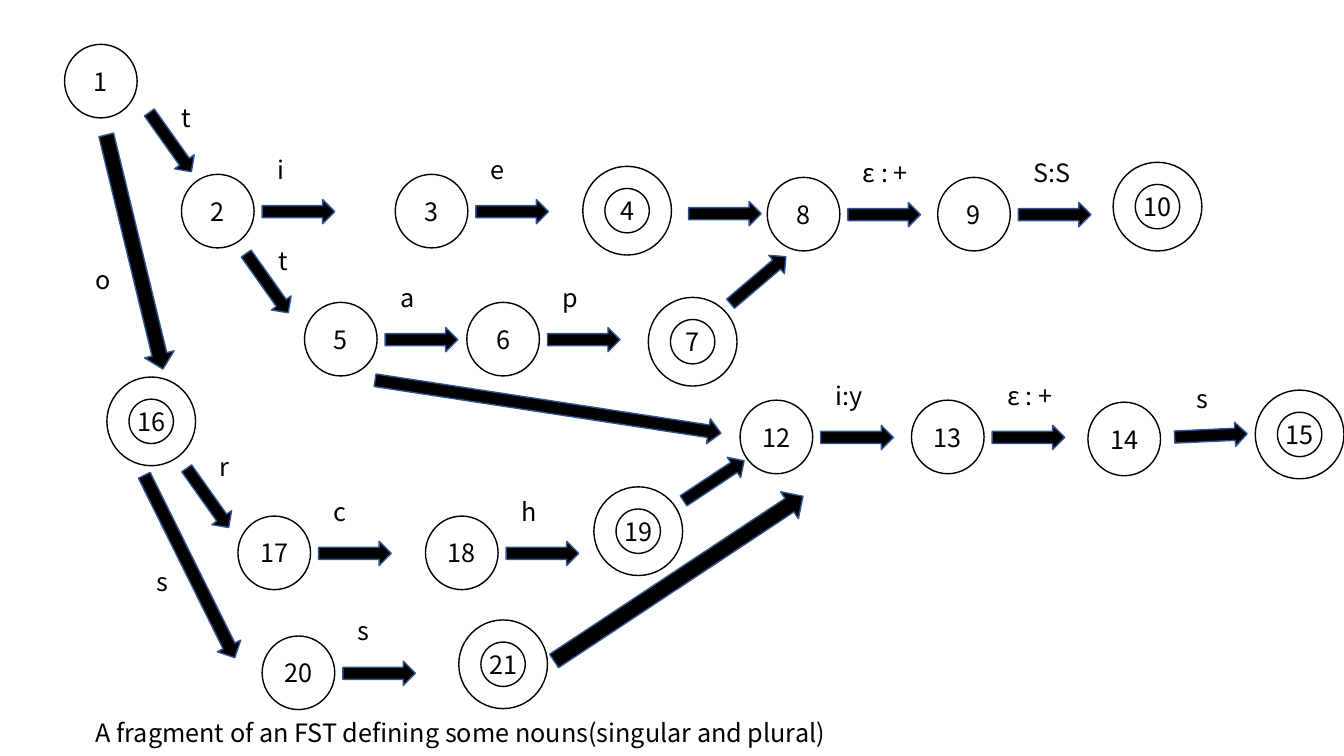
from pptx import Presentation
from pptx.dml.color import RGBColor
from pptx.enum.shapes import MSO_SHAPE
from pptx.enum.text import MSO_ANCHOR, PP_ALIGN
from pptx.util import Inches, Pt

COLORS = {"ink": "000000", "arrow_edge": "325491"}
FONT_FORMAT = {
    "name": "Noto Sans CJK KR",
    "size": Pt(18),
}
STATE_FRAME = {
    "margin_left": 0,
    "margin_right": 0,
    "word_wrap": True,
    "vertical_anchor": MSO_ANCHOR.MIDDLE,
}
LABEL_FRAME = {"word_wrap": True, "vertical_anchor": MSO_ANCHOR.TOP}

STATE_SIZE = (0.72, 0.73)
FINAL_SIZE = (0.88, 0.88)
ARROW_SIZE = (0.72, 0.24)
LABEL_SIZE = (0.88, 0.4)
ARROW_OFFSET = (0.8, 0.25)
LABEL_OFFSET = (0.85, -0.25)

# Rows of states that share a top: top, then (state, left, label on the arrow out)
STATE_ROWS = [
    (1.73, [("2", 1.8, "i"), ("3", 3.92, "e")]),
    (1.76, [("8", 7.61, "ε : +"), ("9", 9.3, "S:S")]),
    (3.0, [("5", 3.02, "a"), ("6", 4.63, "p")]),
    (3.97, [("12", 7.34, "i:y"), ("13", 9.04, "ε : +")]),
    (5.12, [("17", 2.36, "c"), ("18", 4.22, "h")]),
    (6.31, [("20", 2.6, "s")]),
]
LONE_STATES = [("1", 0.64, 0.44), ("14", 10.79, 3.99)]
FINAL_STATES = [
    ("4", 5.78, 1.65),
    ("7", 6.43, 2.95),
    ("10", 11.04, 1.61),
    ("15", 12.45, 3.87),
    ("16", 1.06, 3.74),
    ("19", 5.89, 4.83),
    ("21", 4.55, 6.15),
]
# Left, top, rotation
SHORT_ARROWS = [
    (1.33, 1.29, 54.6),
    (2.29, 2.69, 54.6),
    (1.7, 4.82, 54.6),
    (6.83, 2.0, 0),
    (7.16, 2.66, 319.6),
    (11.65, 4.2, 357.4),
    (6.72, 4.65, 326.5),
]
# Left, top, rotation, (width, height)
LONG_ARROWS = [
    (0.14, 2.35, 76.4, (2.39, 0.3)),
    (0.87, 5.49, 63.6, (2.02, 0.26)),
    (3.7, 3.91, 8.7, (3.47, 0.25)),
    (5.25, 5.58, 326.5, (2.96, 0.32)),
]
FREE_LABELS = [
    ("t", 1.7, 0.97),
    ("t", 2.66, 2.38),
    ("o", 0.85, 2.57),
    ("r", 2.08, 4.43),
    ("s", 1.45, 5.57),
    ("s", 11.77, 3.75),
]


def color(name):
    """Return the named colour."""
    return RGBColor.from_string(COLORS[name])


def apply_format(target, values):
    """Set each attribute in values on the target."""
    for attribute, value in values.items():
        setattr(target, attribute, value)


def write_text(shape, text, frame_format, alignment):
    """Write one formatted paragraph into a shape."""
    frame = shape.text_frame
    apply_format(frame, frame_format)
    para = frame.paragraphs[0]
    para.alignment = alignment
    span = para.add_run()
    span.text = text
    apply_format(span.font, FONT_FORMAT)
    span.font.color.rgb = color("ink")


def add_outlined(page, kind, left, top, size, edge):
    """Add a preset shape with a one-point outline and no shadow."""
    shape = page.shapes.add_shape(kind, *map(Inches, (left, top, *size)))
    shape.shadow.inherit = False
    shape.line.color.rgb = color(edge)
    shape.line.width = Pt(1)
    return shape


def add_state(page, name, left, top, final=False):
    """Add a state circle, or a double circle for a final state."""
    kind = MSO_SHAPE.DONUT if final else MSO_SHAPE.OVAL
    size = FINAL_SIZE if final else STATE_SIZE
    state = add_outlined(page, kind, left, top, size, "ink")
    state.fill.background()
    write_text(state, name, STATE_FRAME, PP_ALIGN.CENTER)


def add_arrow(page, left, top, rotation=0, size=ARROW_SIZE):
    """Add a black block arrow for a transition."""
    arrow = add_outlined(page, MSO_SHAPE.RIGHT_ARROW, left, top, size, "arrow_edge")
    arrow.fill.solid()
    arrow.fill.fore_color.rgb = color("ink")
    arrow.rotation = rotation


def add_label(page, text, left, top, size=LABEL_SIZE):
    """Add a left-aligned text box."""
    box = page.shapes.add_textbox(*map(Inches, (left, top, *size)))
    write_text(box, text, LABEL_FRAME, PP_ALIGN.LEFT)


def add_step(page, name, left, top, label):
    """Add a state with its labelled arrow to the right."""
    add_state(page, name, left, top)
    add_arrow(page, left + ARROW_OFFSET[0], top + ARROW_OFFSET[1])
    add_label(page, label, left + LABEL_OFFSET[0], top + LABEL_OFFSET[1])


def main():
    """Build the transducer diagram and save the deck."""
    deck = Presentation()
    deck.slide_width = Inches(13.33)
    deck.slide_height = Inches(7.5)
    page = deck.slides.add_slide(deck.slide_layouts[6])

    for top, steps in STATE_ROWS:
        for name, left, label in steps:
            add_step(page, name, left, top, label)
    for state in LONE_STATES:
        add_state(page, *state)
    for state in FINAL_STATES:
        add_state(page, *state, final=True)
    for arrow in SHORT_ARROWS + LONG_ARROWS:
        add_arrow(page, *arrow)
    for label in FREE_LABELS:
        add_label(page, *label)
    caption = "A fragment of an FST defining some nouns(singular and plural)"
    add_label(page, caption, 0.85, 7.07, (11.52, 0.4))

    deck.save("out.pptx")


main()
